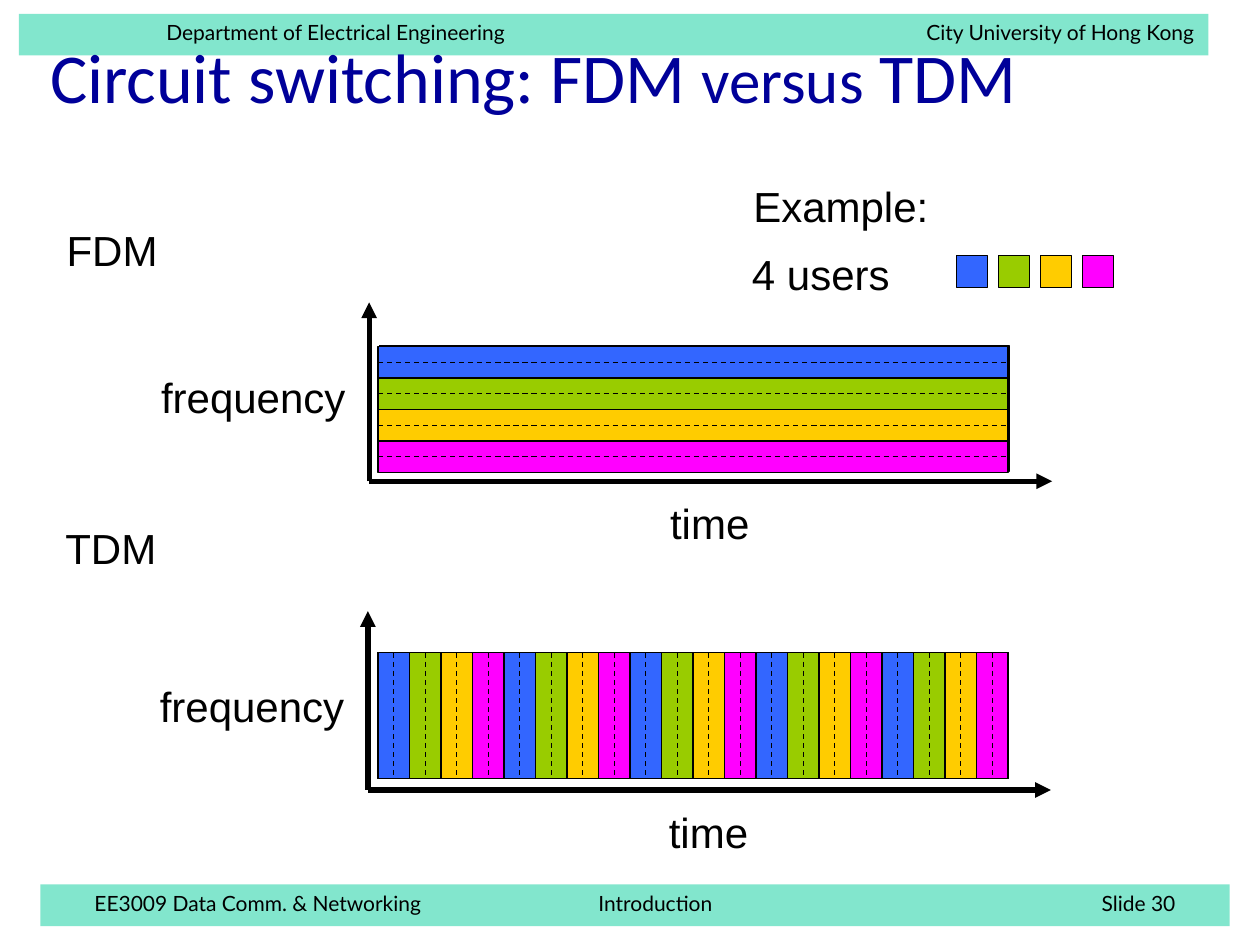
import pptx
import pptx.dml.color
import pptx.enum.dml
import pptx.enum.shapes
import pptx.enum.text
import pptx.oxml.ns
import pptx.util
from lxml import etree

RGBColor = pptx.dml.color.RGBColor
Inches = pptx.util.Inches
Pt = pptx.util.Pt
qn = pptx.oxml.ns.qn

BLACK = RGBColor(0x00, 0x00, 0x00)
NAVY = RGBColor(0x00, 0x00, 0x99)
TEAL = RGBColor(0x00, 0xCC, 0x99)
USERS = [
    RGBColor(0x33, 0x66, 0xFF),
    RGBColor(0x99, 0xCC, 0x00),
    RGBColor(0xFF, 0xCC, 0x00),
    RGBColor(0xFF, 0x00, 0xFF),
]

SLOT = 0.25
GRID_LEFT = 3
GRID_W = 5
GRID_H = len(USERS) * SLOT
TIME_SLOTS = int(GRID_W / SLOT)
FDM_TOP = 2.75
TDM_TOP = 5.18


def add_run(p, text, size, font, color):
    r = p.add_run()
    r.text = text
    r.font.size = Pt(size)
    r.font.name = font
    r.font.color.rgb = color


def add_box(s, x, y, w, h, fill, outlined=True):
    sp = s.shapes.add_shape(
        pptx.enum.shapes.MSO_SHAPE.RECTANGLE,
        Inches(x), Inches(y), Inches(w), Inches(h))
    sp.shadow.inherit = False
    sp.fill.solid()
    sp.fill.fore_color.rgb = fill
    if outlined:
        sp.line.color.rgb = BLACK
        sp.line.width = Pt(0.75)
    else:
        sp.line.fill.background()
    return sp


def add_line(s, x1, y1, x2, y2, width=0.75, dashed=False, arrow=False):
    cn = s.shapes.add_connector(
        pptx.enum.shapes.MSO_CONNECTOR.STRAIGHT,
        Inches(x1), Inches(y1), Inches(x2), Inches(y2))
    cn.line.color.rgb = BLACK
    cn.line.width = Pt(width)
    if dashed:
        cn.line.dash_style = pptx.enum.dml.MSO_LINE.DASH
    if arrow:
        etree.SubElement(cn.line._get_or_add_ln(), qn("a:tailEnd"), type="triangle")
    etree.SubElement(cn._element.spPr, qn("a:effectLst"))


def add_label(s, text, x, y, w):
    sp = s.shapes.add_textbox(Inches(x), Inches(y), Inches(w), Inches(0.5))
    tf = sp.text_frame
    tf.word_wrap = False
    add_run(tf.paragraphs[0], text, 24, "Arial", BLACK)


def add_title(s):
    sp = s.shapes.add_textbox(Inches(0.3), Inches(0.08), Inches(9.26), Inches(1.04))
    tf = sp.text_frame
    tf.word_wrap = True
    tf.vertical_anchor = pptx.enum.text.MSO_ANCHOR.MIDDLE
    for text, size in [("Circuit switching: FDM ", 40), ("versus", 36), (" TDM", 40)]:
        add_run(tf.paragraphs[0], text, size, "Calibri", NAVY)


def add_band(s, x, y, indent, tabs, texts):
    sp = add_box(s, x, y, 9.44, 0.33, TEAL, outlined=False)
    color = sp.fill._xPr.find(qn("a:solidFill"))[0]
    etree.SubElement(color, qn("a:alpha"), val="49000")
    tf = sp.text_frame
    tf.word_wrap = True
    tf.margin_left = Inches(indent)
    tf.vertical_anchor = pptx.enum.text.MSO_ANCHOR.TOP
    p = tf.paragraphs[0]
    p.alignment = pptx.enum.text.PP_ALIGN.LEFT
    stops = etree.SubElement(p._p.get_or_add_pPr(), qn("a:tabLst"))
    for pos, side in tabs:
        etree.SubElement(stops, qn("a:tab"), pos=str(Inches(pos)), algn=side)
    add_run(p, "\t".join(texts), 12, "Lato", BLACK)


def add_axes(s, x, y):
    add_line(s, x, y, x, y - 1.42, width=3, arrow=True)
    add_line(s, x, y, x + 5.42, y, width=3, arrow=True)
    add_label(s, "frequency", x - 1.75, y - 0.92, 1.67)
    add_label(s, "time", x + 2.29, y + 0.08, 0.83)


def add_fdm(s):
    add_label(s, "FDM", 0.43, 1.73, 0.92)
    add_axes(s, 2.93, 3.82)
    add_box(s, GRID_LEFT + 0.01, FDM_TOP - 0.01, GRID_W, GRID_H, TEAL)
    for i, color in enumerate(USERS):
        y = FDM_TOP + i * SLOT
        mid = y + SLOT / 2
        add_box(s, GRID_LEFT, y, GRID_W, SLOT, color)
        add_line(s, GRID_LEFT, mid, GRID_LEFT + GRID_W, mid, dashed=True)
    for i in range(1, len(USERS)):
        y = FDM_TOP + i * SLOT
        add_line(s, GRID_LEFT, y, GRID_LEFT + GRID_W, y)


def add_tdm(s):
    add_label(s, "TDM", 0.42, 4.1, 0.92)
    add_axes(s, 2.92, 6.27)
    add_box(s, GRID_LEFT, TDM_TOP, GRID_W, GRID_H, TEAL)
    for i in range(TIME_SLOTS):
        x = GRID_LEFT + i * SLOT
        mid = x + SLOT / 2
        add_box(s, x, TDM_TOP, SLOT, GRID_H, USERS[i % len(USERS)])
        add_line(s, mid, TDM_TOP, mid, TDM_TOP + GRID_H, dashed=True)
    for i in range(1, TIME_SLOTS):
        x = GRID_LEFT + i * SLOT
        add_line(s, x, TDM_TOP, x, TDM_TOP + GRID_H)


def add_legend(s):
    add_label(s, "Example:", 5.88, 1.38, 1.59)
    add_label(s, "4 users", 5.87, 1.92, 1.3)
    for i, color in enumerate(USERS):
        add_box(s, 7.59 + i / 3, 2.03, SLOT, SLOT, color)


def main():
    prs = pptx.Presentation()
    prs.slide_width = Inches(10)
    prs.slide_height = Inches(7.5)
    s = prs.slides.add_slide(prs.slide_layouts[6])
    add_band(s, 0.32, 7.02, 0.43, [(4, "l"), (8.58, "r")],
             ["EE3009 Data Comm. & Networking", "Introduction", "Slide 30"])
    add_band(s, 0.15, 0.11, 1.17, [(8.16, "r")],
             ["Department of Electrical Engineering", "City University of Hong Kong"])
    add_title(s)
    add_fdm(s)
    add_tdm(s)
    add_legend(s)
    prs.save("out.pptx")


if __name__ == "__main__":
    main()
